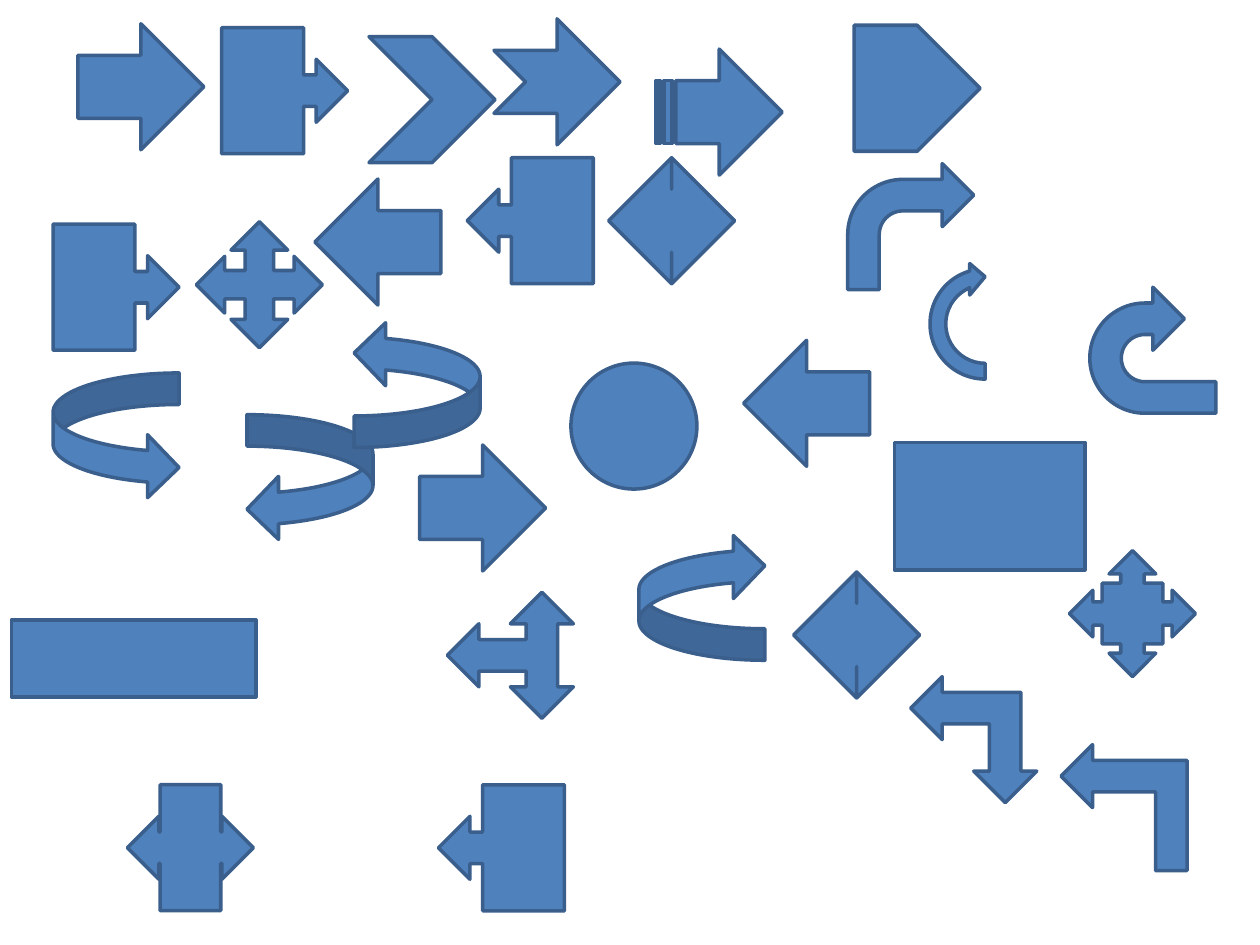
from dataclasses import dataclass

from pptx import Presentation
from pptx import util as u
from pptx.dml.color import RGBColor
from pptx.enum import shapes

BLUE = RGBColor(0x4F, 0x81, 0xBD)
DARK_BLUE = RGBColor(0x3A, 0x5F, 0x8C)
UNIT = 2.54
M = shapes.MSO_SHAPE


@dataclass(frozen=True)
class Figure:
    kind: M
    left: float
    top: float
    width: float = UNIT
    height: float = UNIT
    rotation: int = 0


def turned(kind: M, left: float, top: float) -> Figure:
    return Figure(kind, left, top, rotation=270)


FIGURES = [
    Figure(M.RECTANGLE, 0.23, 12.5, 4.93, 1.55),
    Figure(M.OVAL, 11.51, 7.32),
    Figure(M.RECTANGLE, 18.03, 8.92, 3.84, 2.57),
    Figure(M.LEFT_ARROW, 6.35, 3.61),
    turned(M.UP_ARROW, 14.99, 6.86),
    turned(M.DOWN_ARROW, 8.46, 8.97),
    Figure(M.LEFT_RIGHT_ARROW, 12.27, 3.18),
    turned(M.UP_DOWN_ARROW, 16, 11.53),
    Figure(M.QUAD_ARROW, 3.96, 4.47),
    turned(M.LEFT_RIGHT_UP_ARROW, 9.02, 11.94),
    Figure(M.BENT_ARROW, 17.09, 3.3),
    turned(M.U_TURN_ARROW, 21.97, 5.79),
    turned(M.LEFT_UP_ARROW, 18.36, 13.64),
    turned(M.BENT_UP_ARROW, 21.39, 15.01),
    Figure(M.CURVED_RIGHT_ARROW, 1.07, 7.52),
    Figure(M.CURVED_LEFT_ARROW, 4.98, 8.36),
    turned(M.CURVED_DOWN_ARROW, 12.88, 10.77),
    turned(M.CURVED_UP_ARROW, 7.14, 6.48),
    Figure(M.STRIPED_RIGHT_ARROW, 13.23, 0.99),
    Figure(M.NOTCHED_RIGHT_ARROW, 9.96, 0.38),
    Figure(M.PENTAGON, 17.22, 0.51),
    Figure(M.CHEVRON, 7.44, 0.74),
    Figure(M.RIGHT_ARROW_CALLOUT, 4.47, 0.56),
    turned(M.DOWN_ARROW_CALLOUT, 1.07, 4.52),
    Figure(M.LEFT_ARROW_CALLOUT, 9.42, 3.18),
    turned(M.UP_ARROW_CALLOUT, 8.84, 15.82),
    Figure(M.LEFT_RIGHT_ARROW_CALLOUT, 2.57, 15.82),
    Figure(M.QUAD_ARROW_CALLOUT, 21.56, 11.1),
    turned(M.CIRCULAR_ARROW, 18.59, 5.26),
    Figure(M.RIGHT_ARROW, 1.57, 0.48),
]


def draw(s, figure: Figure) -> None:
    box = (figure.left, figure.top, figure.width, figure.height)
    sp = s.shapes.add_shape(figure.kind, *map(u.Cm, box))
    sp.rotation = figure.rotation
    sp.shadow.inherit = False
    sp.fill.solid()
    sp.fill.fore_color.rgb = BLUE
    sp.line.color.rgb = DARK_BLUE
    sp.line.width = u.Pt(2)


def main() -> None:
    prs = Presentation()
    prs.slide_width, prs.slide_height = u.Cm(25.4), u.Cm(19.05)
    s = prs.slides.add_slide(prs.slide_layouts[6])
    for figure in FIGURES:
        draw(s, figure)
    prs.save("out.pptx")


if __name__ == "__main__":
    main()
